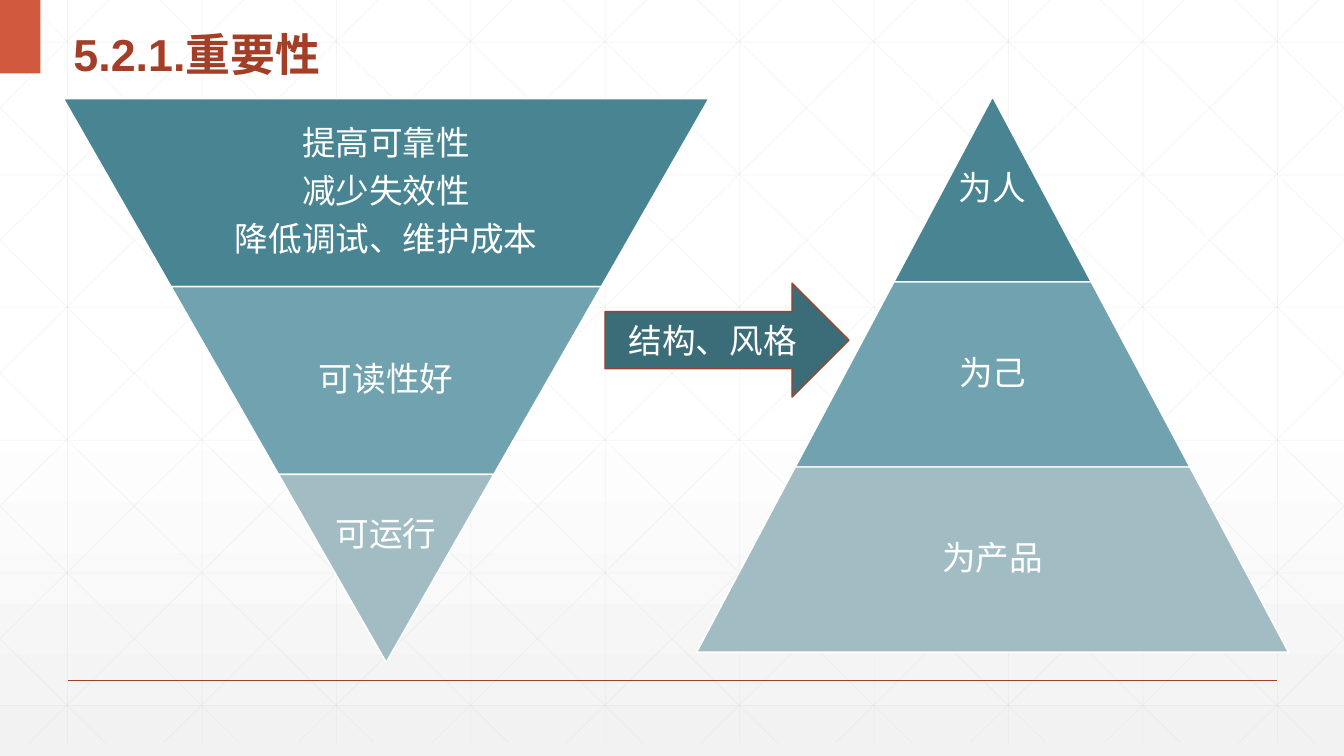
from copy import deepcopy

from lxml import etree
from pptx import Presentation
from pptx import util as u
from pptx.dml import color
from pptx.enum import shapes, text
from pptx.oxml.ns import qn

WIDTH, HEIGHT = 13.33, 7.5
BAND_COLOURS = ["488492", "71A2AF", "A2BCC4"]
RED = "A43F27"
WHITE = "FFFFFF"
BAND_PARA = {"line_spacing": 0.9, "space_after": u.Pt(8.4)}


def rgb(value):
    return color.RGBColor.from_string(value)


def inches(*lengths):
    return [u.Inches(length) for length in lengths]


def set_format(target, values):
    for name, value in values.items():
        setattr(target, name, value)


def write(frame, lines, size, colour, bold=False, align=text.PP_ALIGN.CENTER, para_format=None):
    for index, line in enumerate(lines):
        para = frame.paragraphs[0] if index == 0 else frame.add_paragraph()
        set_format(para, {"alignment": align, **(para_format or {})})
        span = para.add_run()
        span.text = line
        set_format(span.font, {"size": u.Pt(size), "name": "Arial", "bold": bold})
        span.font.color.rgb = rgb(colour)


def add_line(parent, start, end, colour, width, opacity=None):
    line = parent.add_connector(shapes.MSO_CONNECTOR.STRAIGHT, *inches(*start, *end))
    line.line.color.rgb = rgb(colour)
    line.line.width = u.Pt(width)
    properties = line._element.spPr
    etree.SubElement(properties, qn("a:effectLst"))
    if opacity is not None:
        tint = properties.find(".//" + qn("a:srgbClr"))
        etree.SubElement(tint, qn("a:alpha"), val=str(opacity * 1000))


def add_block(parent, preset, box, fill, outline=None):
    block = parent.add_shape(preset, *inches(*box))
    block.shadow.inherit = False
    block.fill.solid()
    block.fill.fore_color.rgb = rgb(fill)
    if outline:
        block.line.color.rgb = rgb(outline)
        block.line.width = u.Pt(1)
    else:
        block.line.fill.background()
    return block


def paint_background(page):
    fill = page.background.fill
    fill.gradient()
    fill.gradient_angle = 270
    first = page.element.find(".//" + qn("a:gs"))
    first.addnext(deepcopy(first))
    for stop, position, colour in zip(fill.gradient_stops, [0, 0.53, 1], [WHITE, WHITE, "F2F2F2"]):
        stop.position = position
        stop.color.rgb = rgb(colour)


def draw_grid(page, width, height):
    grid = page.shapes.add_group_shape().shapes
    pitch, row_pitch, run = 4 / 3, 1.316, 7.46
    slope = height / run
    segments = []
    for column in range(10):
        x = 0.67 + column * pitch
        segments.append(((x, 0), (x, height)))
    for row in range(6):
        y = 0.42 + row * row_pitch
        segments.append(((0, y), (width, y)))
    for step in range(-5, 10):
        origin = 0.25 + step * pitch
        left, right = max(origin, 0), min(origin + run, width)
        top, bottom = (left - origin) * slope, (right - origin) * slope
        segments.append(((left, top), (right, bottom)))
        segments.append(((width - left, top), (width - right, bottom)))
    for start, end in segments:
        add_line(grid, start, end, "D9D9D9", 0.5, 25)


def draw_title(page, box, title):
    add_block(page.shapes, shapes.MSO_SHAPE.RECTANGLE, (0, 0, 0.4, 0.73), "D15A3E")
    frame = page.shapes.add_textbox(*inches(*box)).text_frame
    frame.word_wrap = True
    write(frame, [title], 32, RED, True, text.PP_ALIGN.LEFT, {"line_spacing": 1.3})


def draw_pyramid(page, box, bands, inverted=False):
    left, top, width, height = box
    group = page.shapes.add_group_shape().shapes
    count = len(bands)
    band_height = height / count
    side = width / (2 * count)
    for index, lines in enumerate(bands):
        level = count - index if inverted else index + 1
        band_width = 2 * side * level
        x = left + (width - band_width) / 2
        y = top + index * band_height
        band = add_block(group, shapes.MSO_SHAPE.TRAPEZOID, (x, y, band_width, band_height),
                         BAND_COLOURS[index], WHITE)
        band.adjustments[0] = side / min(band_width, band_height)
        band.rotation = 180 if inverted else 0

        text_width = band_width * (1 if level == 1 else 0.65)
        text_height = band_height * (0.65 if inverted and level == 1 else 1)
        text_left = left + (width - text_width) / 2
        frame = group.add_textbox(*inches(text_left, y, text_width, text_height)).text_frame
        margins = {f"margin_{edge}": u.Inches(0.03) for edge in ("left", "right", "top", "bottom")}
        set_format(frame, {"word_wrap": True, "vertical_anchor": text.MSO_ANCHOR.MIDDLE, **margins})
        write(frame, lines, 24, WHITE, para_format=BAND_PARA)


def draw_arrow(page, box, label):
    arrow = add_block(page.shapes, shapes.MSO_SHAPE.RIGHT_ARROW, box, "3B6D79", "9B432E")
    arrow.text_frame.vertical_anchor = text.MSO_ANCHOR.MIDDLE
    write(arrow.text_frame, [label], 24, WHITE)


def main():
    deck = Presentation()
    deck.slide_width, deck.slide_height = inches(WIDTH, HEIGHT)
    page = deck.slides.add_slide(deck.slide_layouts[6])
    paint_background(page)
    draw_grid(page, WIDTH, 7.37)
    add_line(page.shapes, (0.67, 6.75), (12.67, 6.75), RED, 1)
    draw_title(page, (0.63, 0.06, 5.69, 0.73), "5.2.1.重要性")
    draw_pyramid(page, (0.63, 0.98, 6.4, 5.59),
                 [["提高可靠性", "减少失效性", "降低调试、维护成本"], ["可读性好"], ["可运行"]],
                 inverted=True)
    draw_arrow(page, (6, 2.81, 2.42, 1.13), "结构、风格")
    draw_pyramid(page, (6.91, 0.96, 5.87, 5.51), [["为人"], ["为己"], ["为产品"]])
    deck.save("out.pptx")


if __name__ == "__main__":
    main()
